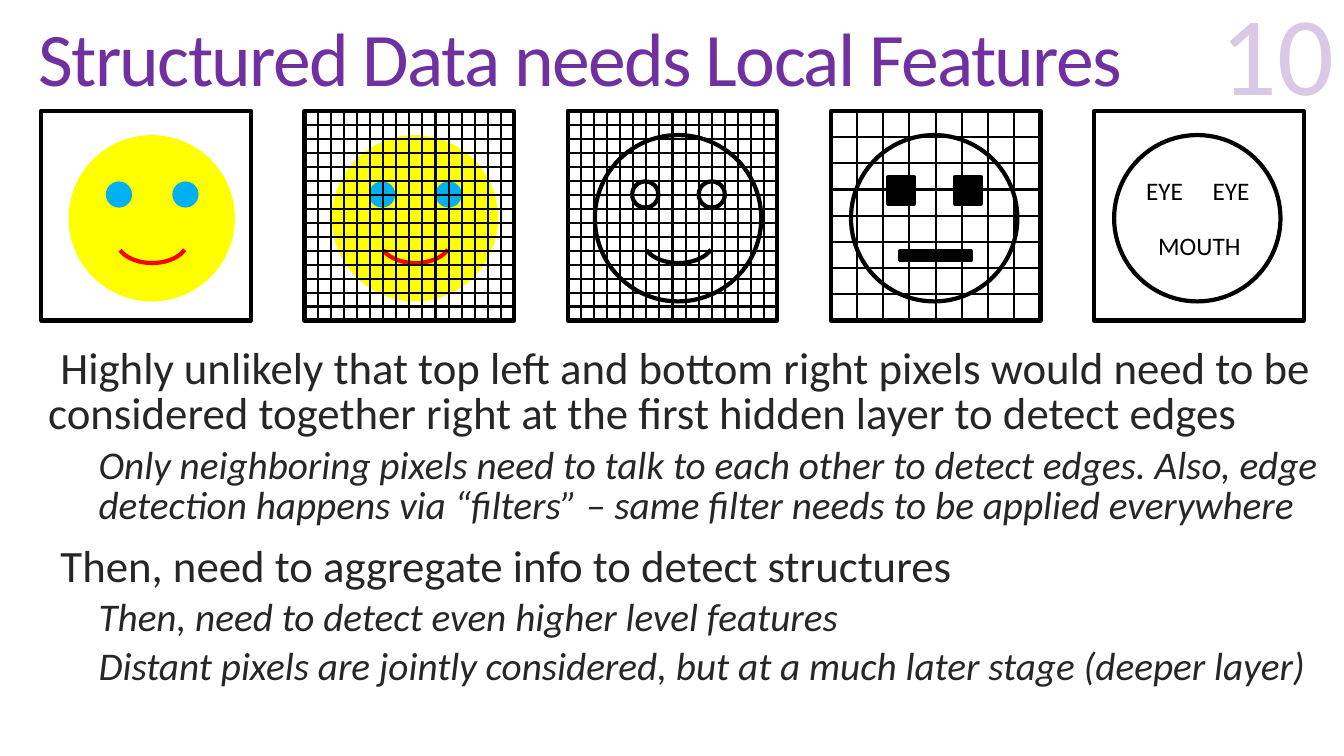
"""Build a slide on why structured data needs local features."""
from dataclasses import dataclass

from lxml import etree
from pptx import Presentation
from pptx.dml.color import RGBColor
from pptx.enum.dml import MSO_THEME_COLOR
from pptx.enum.shapes import MSO_CONNECTOR, MSO_SHAPE
from pptx.enum.text import MSO_ANCHOR, MSO_AUTO_SIZE, PP_ALIGN
from pptx.oxml.ns import qn
from pptx.shapes.autoshape import Shape
from pptx.shapes.shapetree import GroupShapes
from pptx.slide import Slide
from pptx.text.text import _Paragraph as Paragraph
from pptx.text.text import _Run as Run
from pptx.util import Inches, Pt

ELLIPSE, RECTANGLE, ARC = MSO_SHAPE.OVAL, MSO_SHAPE.RECTANGLE, MSO_SHAPE.ARC
STRAIGHT = MSO_CONNECTOR.STRAIGHT
LEFT, CENTER, RIGHT = PP_ALIGN.LEFT, PP_ALIGN.CENTER, PP_ALIGN.RIGHT
TOP, MIDDLE, BOTTOM = MSO_ANCHOR.TOP, MSO_ANCHOR.MIDDLE, MSO_ANCHOR.BOTTOM
NO_AUTOFIT = MSO_AUTO_SIZE.NONE
TOP_SIDE, LEFT_SIDE, BOTTOM_SIDE, RIGHT_SIDE = range(4)


@dataclass(frozen=True)
class Theme:
    """Colours, font and sizes of the slide."""

    font: str = "Calibri"
    purple: str = "7030A0"
    ink: str = "262626"
    black: str = "000000"
    yellow: str = "FFFF00"
    blue: str = "00B0F0"
    red: str = "FF0000"
    title: float = 54
    number: float = 80
    point: float = 32
    detail: float = 28
    label: float = 18
    outline: float = 3
    grid: float = 1.5


@dataclass(frozen=True)
class Mark:
    """A part of the face, placed relative to the head's left edge."""

    kind: MSO_SHAPE
    left: float
    top: float
    width: float
    height: float
    fill: str | None = None
    line: str | None = None


@dataclass(frozen=True)
class Label:
    """A word inside the head, placed relative to the head's left edge."""

    text: str
    left: float
    top: float
    width: float


@dataclass(frozen=True)
class Panel:
    """One framed stage of the face with its pixel grid."""

    head_left: float
    columns: int
    rows: int
    marks: tuple[Mark, ...]
    labels: tuple[Label, ...] = ()


@dataclass(frozen=True)
class Point:
    """A paragraph of the body text."""

    text: str
    detail: bool = False


THEME = Theme()
FRAME_LEFT, FRAME_TOP, FRAME_SIDE, FRAME_PITCH = 0.41, 1.1, 2.08, 2.61
EYE_LEFTS = (0.37, 1.03)
EYE_SIDE = 0.26


def head(fill: str | None, line: str | None) -> Mark:
    """Describe the round head."""
    return Mark(ELLIPSE, 0, 1.34, 1.65, 1.65, fill, line)


def eyes(kind: MSO_SHAPE, top: float, fill: str | None, line: str | None) -> tuple[Mark, ...]:
    """Describe the two eyes."""
    return tuple(Mark(kind, left, top, EYE_SIDE, EYE_SIDE, fill, line) for left in EYE_LEFTS)


def smile(line: str) -> Mark:
    """Describe the curved mouth."""
    return Mark(ARC, 0.48, 2.17, 0.7, 0.44, None, line)


BLACK = THEME.black
COLOURED_FACE = (head(THEME.yellow, None), *eyes(ELLIPSE, 1.8, THEME.blue, None), smile(THEME.red))
EDGE_FACE = (head(None, BLACK), *eyes(ELLIPSE, 1.8, None, BLACK), smile(BLACK))
BLOCK_FACE = (
    head(None, BLACK),
    *eyes(RECTANGLE, 1.76, BLACK, BLACK),
    Mark(RECTANGLE, 0.49, 2.49, 0.7, 0.09, BLACK, BLACK),
)
FACE_WORDS = (
    Label("EYE", 0.15, 1.69, 0.7),
    Label("EYE", 0.81, 1.69, 0.7),
    Label("MOUTH", 0.27, 2.24, 1.15),
)
PANELS = (
    Panel(0.27, 1, 1, COLOURED_FACE),
    Panel(0.27, 16, 15, COLOURED_FACE),
    Panel(0.27, 16, 15, EDGE_FACE),
    Panel(0.2, 8, 8, BLOCK_FACE),
    Panel(0.2, 1, 1, (head(None, BLACK),), FACE_WORDS),
)
POINTS = (
    Point("Highly unlikely that top left and bottom right pixels would need to be considered "
          "together right at the first hidden layer to detect edges"),
    Point("Only neighboring pixels need to talk to each other to detect edges. Also, edge "
          "detection happens via “filters” – same filter needs to be applied everywhere", True),
    Point("Then, need to aggregate info to detect structures"),
    Point("Then, need to detect even higher level features", True),
    Point("Distant pixels are jointly considered, but at a much later stage (deeper layer)", True),
)


def add_span(para: Paragraph, text: str, size: float, colour: str, italic: bool = False) -> Run:
    """Add a formatted run to a paragraph."""
    span = para.add_run()
    span.text = text
    span.font.name = THEME.font
    span.font.size = Pt(size)
    span.font.italic = italic
    span.font.color.rgb = RGBColor.from_string(colour)
    return span


def set_frame(box: Shape, anchor: MSO_ANCHOR, align: PP_ALIGN) -> Paragraph:
    """Set wrapping and anchoring, and return the aligned first paragraph."""
    frame = box.text_frame
    frame.word_wrap = True
    frame.auto_size = NO_AUTOFIT
    frame.vertical_anchor = anchor
    para = frame.paragraphs[0]
    para.alignment = align
    return para


def add_mark(shapes: GroupShapes, mark: Mark, origin: float) -> Shape:
    """Draw one shape of a panel."""
    shape = shapes.add_shape(mark.kind, Inches(origin + mark.left), Inches(mark.top),
                             Inches(mark.width), Inches(mark.height))
    shape.shadow.inherit = False
    if mark.kind == ARC:
        shape.adjustments[0], shape.adjustments[1] = 9.12, 98.22
    if mark.fill:
        shape.fill.solid()
        shape.fill.fore_color.rgb = RGBColor.from_string(mark.fill)
    else:
        shape.fill.background()
    if mark.line:
        shape.line.color.rgb = RGBColor.from_string(mark.line)
        shape.line.width = Pt(THEME.outline)
    else:
        shape.line.fill.background()
    return shape


def add_grid_line(shapes: GroupShapes, frame: Shape, share: float, upright: bool) -> None:
    """Draw a line across the frame at a share of its side."""
    step = int(FRAME_SIDE * share * Inches(1))
    right, bottom = frame.left + frame.width, frame.top + frame.height
    if upright:
        ends = (frame.left + step, frame.top, frame.left + step, bottom)
        sides = (TOP_SIDE, BOTTOM_SIDE)
    else:
        ends = (frame.left, frame.top + step, right, frame.top + step)
        sides = (LEFT_SIDE, RIGHT_SIDE)
    line = shapes.add_connector(STRAIGHT, *ends)
    line.line.color.rgb = RGBColor.from_string(THEME.black)
    line.line.width = Pt(THEME.grid)
    etree.SubElement(line.element.spPr, qn("a:effectLst"))
    if share == 0.5:
        line.begin_connect(frame, sides[0])
        line.end_connect(frame, sides[1])


def add_panel(page: Slide, panel: Panel, left: float) -> None:
    """Draw a face, its frame, its grid and its labels as one group."""
    shapes = page.shapes.add_group_shape().shapes
    origin = left + panel.head_left
    for mark in panel.marks:
        add_mark(shapes, mark, origin)
    frame = add_mark(shapes, Mark(RECTANGLE, 0, FRAME_TOP, FRAME_SIDE, FRAME_SIDE, None, BLACK), left)
    for column in range(1, panel.columns):
        add_grid_line(shapes, frame, column / panel.columns, True)
    for row in range(panel.rows + 1):
        add_grid_line(shapes, frame, row / panel.rows, False)
    for label in panel.labels:
        box = shapes.add_textbox(Inches(origin + label.left), Inches(label.top),
                                 Inches(label.width), Inches(0.4))
        add_span(set_frame(box, TOP, CENTER), label.text, THEME.label, THEME.black)


def add_title(page: Slide) -> None:
    """Place and format the title placeholder."""
    title = page.shapes.title
    title.left, title.top, title.width, title.height = map(Inches, (0.28, 0.04, 12.69, 1.18))
    para = set_frame(title, MIDDLE, LEFT)
    para.line_spacing = 0.85
    span = add_span(para, "Structured Data needs Local Features", THEME.title, THEME.purple)
    span.font._element.set("spc", "-120")


def add_body(page: Slide) -> None:
    """Write the two-level body text."""
    box = page.shapes.add_textbox(Inches(0.28), Inches(3.4), Inches(13.06), Inches(4.1))
    first = set_frame(box, TOP, LEFT)
    for index, point in enumerate(POINTS):
        para = box.text_frame.add_paragraph() if index else first
        indent = Inches(0.6 if point.detail else 0.1)
        properties = para._p.get_or_add_pPr()
        properties.set("marL", str(indent))
        properties.set("indent", str(-indent))
        etree.SubElement(properties, qn("a:buChar")).set("char", " ")
        para.level = int(point.detail)
        para.line_spacing = 0.85
        if index:
            para.space_before = Pt(6 if point.detail else 13)
        size = THEME.detail if point.detail else THEME.point
        add_span(para, point.text, size, THEME.ink, point.detail)


def add_number(page: Slide) -> None:
    """Write the pale slide number."""
    box = page.shapes.add_textbox(Inches(10.13), Inches(0.05), Inches(3.2), Inches(1.17))
    span = add_span(set_frame(box, BOTTOM, RIGHT), "10", THEME.number, THEME.purple)
    colour = span.font._element.find(".//" + qn("a:srgbClr"))
    etree.SubElement(colour, qn("a:alpha")).set("val", "25000")


def main() -> None:
    """Build and save the deck."""
    deck = Presentation()
    deck.slide_width, deck.slide_height = Inches(13.33), Inches(7.5)
    page = deck.slides.add_slide(deck.slide_layouts.get_by_name("Title Only"))
    page.background.fill.solid()
    page.background.fill.fore_color.theme_color = MSO_THEME_COLOR.BACKGROUND_1
    add_title(page)
    add_body(page)
    add_number(page)
    for index, panel in enumerate(PANELS):
        add_panel(page, panel, FRAME_LEFT + index * FRAME_PITCH)
    deck.save("out.pptx")


if __name__ == "__main__":
    main()
